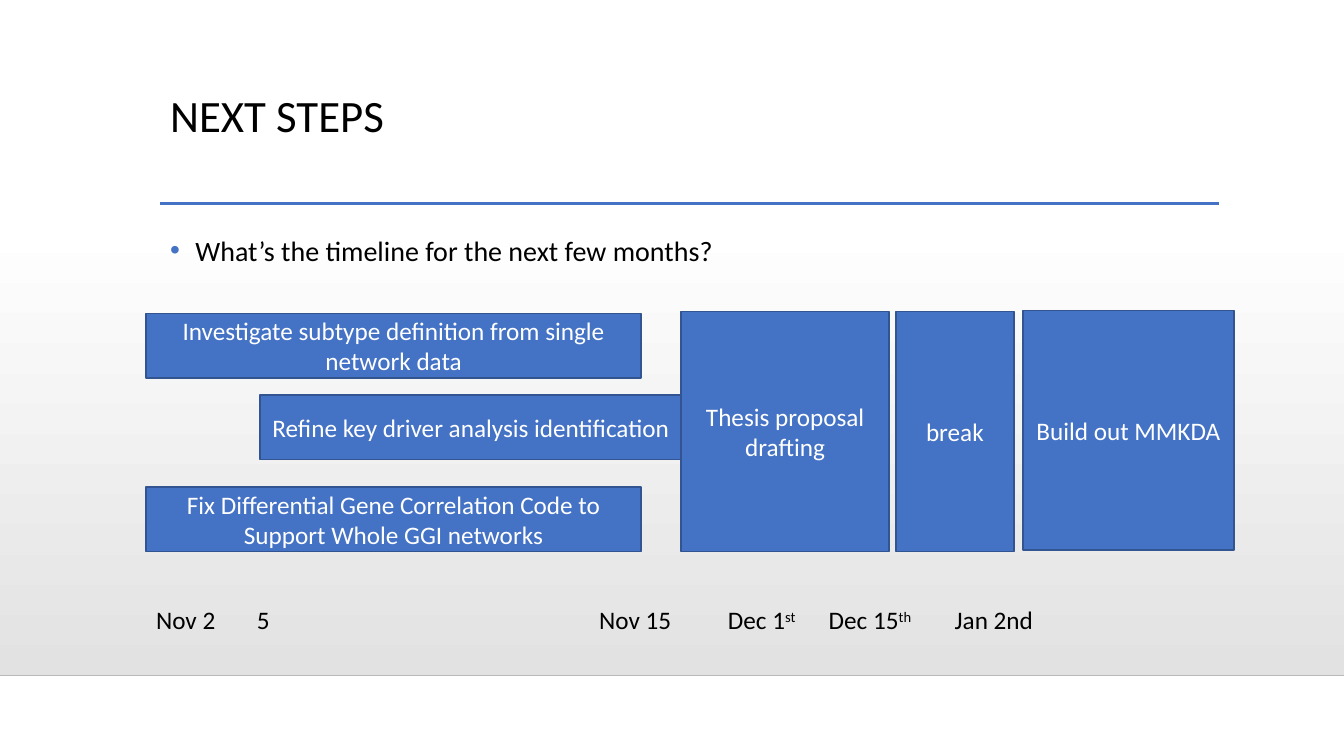
from dataclasses import dataclass

from lxml import etree
from pptx import Presentation
from pptx.dml.color import RGBColor
from pptx.enum.shapes import MSO_CONNECTOR, MSO_SHAPE
from pptx.enum.text import MSO_ANCHOR, PP_ALIGN
from pptx.oxml.ns import qn
from pptx.util import Pt

RECTANGLE = MSO_SHAPE.RECTANGLE
STRAIGHT = MSO_CONNECTOR.STRAIGHT
MIDDLE = MSO_ANCHOR.MIDDLE
CENTER = PP_ALIGN.CENTER
BLANK_LAYOUT = 6
DOWNWARD = 270


@dataclass(frozen=True)
class Theme:
    """Colours, font and type sizes of the slide."""
    font: str = "Calibri"
    text: str = "000000"
    inverse: str = "FFFFFF"
    accent: str = "4472C4"
    outline: str = "325491"
    shade: str = "E2E2E2"
    horizon: str = "B9B9B9"
    title_size: float = 32
    body_size: float = 20
    label_size: float = 18


def assign(target, values):
    """Set attributes of target from a dict of format values."""
    for name, value in values.items():
        setattr(target, name, value)


def add_xml(parent, tag, **attributes):
    """Append a DrawingML child element and return it."""
    return etree.SubElement(parent, qn(tag), attributes)


class SlideBuilder:
    """Draws themed elements on one slide."""

    def __init__(self, slide, theme):
        """Keep the slide and its theme."""
        self.slide = slide
        self.theme = theme

    def add_text(self, paragraph, text, size, color, raised=False):
        """Add a run of text, raised for an ordinal suffix."""
        run = paragraph.add_run()
        run.text = text
        assign(run.font, {"name": self.theme.font, "size": Pt(size)})
        run.font.color.rgb = RGBColor.from_string(color)
        if raised:
            run._r.get_or_add_rPr().set("baseline", "30000")

    def text_area(self, box, **spacing):
        """Add a wrapping text box and return its first paragraph."""
        area = self.slide.shapes.add_textbox(*map(Pt, box))
        area.text_frame.word_wrap = True
        paragraph = area.text_frame.paragraphs[0]
        assign(paragraph, spacing)
        return paragraph

    def title(self, box, text):
        """Add the heading."""
        paragraph = self.text_area(box, line_spacing=0.9)
        self.add_text(paragraph, text, self.theme.title_size, self.theme.text)

    def bullet(self, box, text):
        """Add a bulleted line with a hanging indent."""
        paragraph = self.text_area(box, line_spacing=1.2, space_before=Pt(10))
        properties = paragraph._p.get_or_add_pPr()
        properties.set("marL", str(Pt(18)))
        properties.set("indent", str(Pt(-18)))
        bullet_color = add_xml(properties, "a:buClr")
        add_xml(bullet_color, "a:srgbClr", val=self.theme.accent)
        add_xml(properties, "a:buFont", typeface="Arial")
        add_xml(properties, "a:buChar", char="\u2022")
        self.add_text(paragraph, text, self.theme.body_size, self.theme.text)

    def date_axis(self, box, dates):
        """Add one line of dates, each at its own tab stop."""
        paragraph = self.text_area(box)
        stops = add_xml(paragraph._p.get_or_add_pPr(), "a:tabLst")
        for offset, date, suffix in dates:
            if offset:
                add_xml(stops, "a:tab", pos=str(Pt(offset)), algn="l")
                date = "\t" + date
            self.add_text(paragraph, date, self.theme.label_size,
                          self.theme.text)
            if suffix:
                self.add_text(paragraph, suffix, self.theme.label_size,
                              self.theme.text, raised=True)

    def rectangle(self, box):
        """Add a rectangle without a shadow."""
        shape = self.slide.shapes.add_shape(RECTANGLE, *map(Pt, box))
        shape.shadow.inherit = False
        return shape

    def backdrop(self, box):
        """Add a panel that shades from white down to grey."""
        panel = self.rectangle(box)
        panel.line.fill.background()
        panel.fill.gradient()
        panel.fill.gradient_angle = DOWNWARD
        shades = (self.theme.inverse, self.theme.shade)
        for stop, color in zip(panel.fill.gradient_stops, shades):
            stop.color.rgb = RGBColor.from_string(color)

    def task(self, box, text):
        """Add a labelled block of the timeline."""
        block = self.rectangle(box)
        block.fill.solid()
        block.fill.fore_color.rgb = RGBColor.from_string(self.theme.accent)
        block.line.color.rgb = RGBColor.from_string(self.theme.outline)
        block.line.width = Pt(1.25)
        assign(block.text_frame, {"word_wrap": True, "vertical_anchor": MIDDLE})
        paragraph = block.text_frame.paragraphs[0]
        paragraph.alignment = CENTER
        self.add_text(paragraph, text, self.theme.label_size,
                      self.theme.inverse)

    def rule(self, left, right, y, color, width):
        """Add a horizontal line."""
        line = self.slide.shapes.add_connector(
            STRAIGHT, Pt(left), Pt(y), Pt(right), Pt(y))
        line.line.color.rgb = RGBColor.from_string(color)
        line.line.width = Pt(width)
        add_xml(line._element.spPr, "a:effectLst")


SLIDE_WIDTH, SLIDE_HEIGHT = 960, 540
HORIZON = 482.4
MARGIN, CONTENT_WIDTH = 114.5, 756
TASK_LEFT, TASK_WIDTH, TASK_HEIGHT = 104.4, 353.5, 46.1
PHASE_TOP, PHASE_HEIGHT = 222.5, 171.4

TASKS = [
    (TASK_LEFT, 223.9, TASK_WIDTH,
     "Investigate subtype definition from single network data"),
    (185.8, 282.2, 301, "Refine key driver analysis identification"),
    (TASK_LEFT, 347.8, TASK_WIDTH,
     "Fix Differential Gene Correlation Code to Support Whole GGI networks"),
]
PHASES = [
    (486.7, PHASE_TOP, 148.3, "Thesis proposal drafting"),
    (640, PHASE_TOP, 84.2, "break"),
    (730.8, PHASE_TOP - 0.8, 150.5, "Build out MMKDA"),
]
DATES = [
    (0, "Nov 2", ""), (72, "5", ""), (316.5, "Nov 15", ""),
    (408.5, "Dec 1", "st"), (480.5, "Dec 15", "th"), (570.5, "Jan 2nd", ""),
]


def main():
    """Build the slide and save it."""
    deck = Presentation()
    assign(deck, {"slide_width": Pt(SLIDE_WIDTH),
                  "slide_height": Pt(SLIDE_HEIGHT)})
    theme = Theme()
    page = SlideBuilder(
        deck.slides.add_slide(deck.slide_layouts[BLANK_LAYOUT]), theme)

    page.backdrop((0, 159, SLIDE_WIDTH, HORIZON - 159))
    page.rule(0, SLIDE_WIDTH, HORIZON, theme.horizon, 1)
    page.rule(MARGIN, 871, 145.4, theme.accent, 2.5)
    page.title((MARGIN, 63.4, CONTENT_WIDTH, 82.8), "NEXT STEPS")
    page.bullet((MARGIN, 158.4, CONTENT_WIDTH, 271.4),
                "What\u2019s the timeline for the next few months?")

    for blocks, height in ((TASKS, TASK_HEIGHT), (PHASES, PHASE_HEIGHT)):
        for left, top, width, label in blocks:
            page.task((left, top, width, height), label)
    page.date_axis((TASK_LEFT, 428.4, 795, 51), DATES)

    deck.save("out.pptx")


main()
